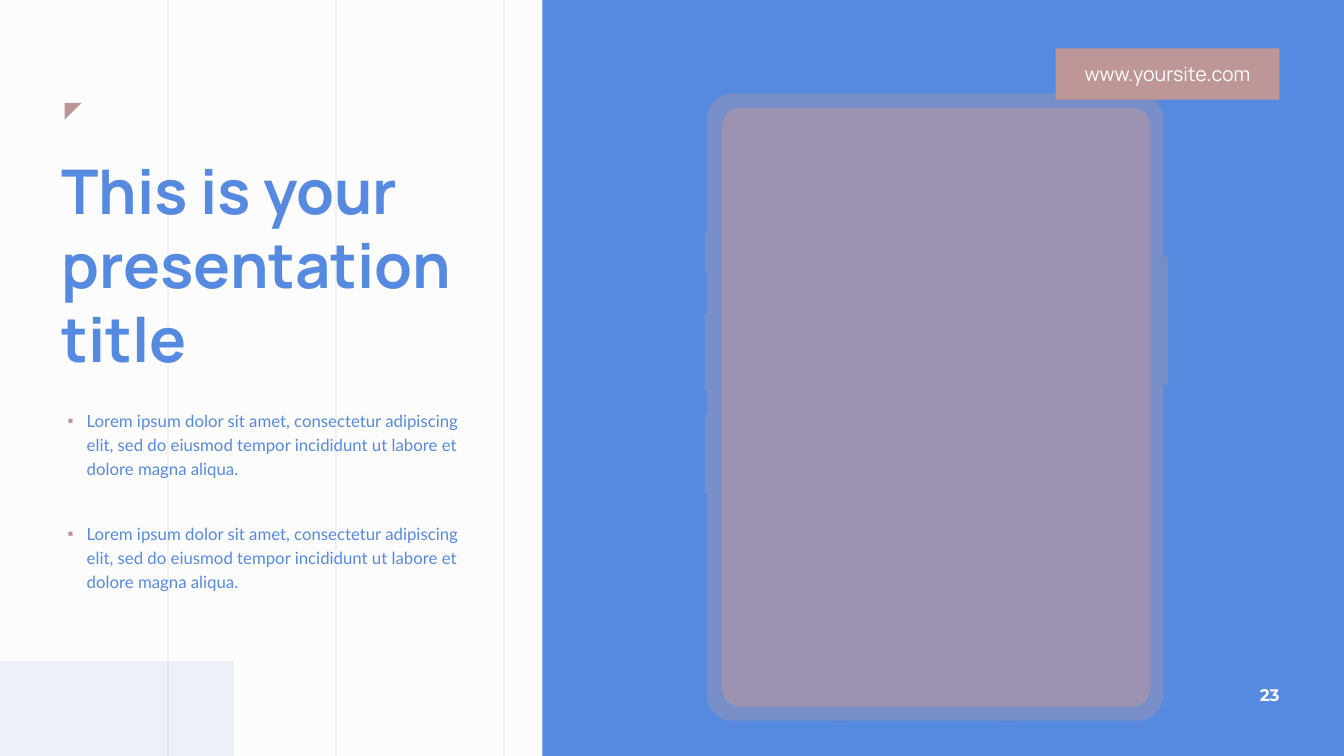
from lxml import etree
from pptx import Presentation
from pptx.dml.color import RGBColor
from pptx.enum.shapes import MSO_CONNECTOR, MSO_SHAPE
from pptx.enum.text import MSO_ANCHOR, MSO_AUTO_SIZE, PP_ALIGN
from pptx.oxml.ns import qn
from pptx.util import Inches, Pt

WHITE = RGBColor(0xFC, 0xFC, 0xFC)
BLUE = RGBColor(0x56, 0x8A, 0xE0)
FRAME_BLUE = RGBColor(0x78, 0x8E, 0xC8)
MAUVE = RGBColor(0x9A, 0x92, 0xB0)
ROSE = RGBColor(0xBD, 0x96, 0x98)

RECTANGLE = MSO_SHAPE.RECTANGLE
ROUNDED = MSO_SHAPE.ROUNDED_RECTANGLE
TRIANGLE = MSO_SHAPE.RIGHT_TRIANGLE
STRAIGHT = MSO_CONNECTOR.STRAIGHT
TOP, MIDDLE = MSO_ANCHOR.TOP, MSO_ANCHOR.MIDDLE
LEFT, CENTER, RIGHT = PP_ALIGN.LEFT, PP_ALIGN.CENTER, PP_ALIGN.RIGHT
NO_AUTOFIT = MSO_AUTO_SIZE.NONE

WIDTH, HEIGHT = 13.33, 7.5
LOREM = ("Lorem ipsum dolor sit amet, consectetur adipiscing elit, sed do "
         "eiusmod tempor incididunt ut labore et dolore magna aliqua.")


class SlideBuilder:
    def __init__(self, page):
        self.page = page
        self.shapes = page.shapes
        page.background.fill.solid()
        page.background.fill.fore_color.rgb = WHITE

    def set_opacity(self, properties, percent):
        """Make the solid colour inside an XML element partly transparent."""
        color = properties.find(".//" + qn("a:srgbClr"))
        etree.SubElement(color, qn("a:alpha"), val=str(percent * 1000))

    def shape(self, kind, left, top, width, height, color, corner=None, opacity=100):
        shape = self.shapes.add_shape(
            kind, Inches(left), Inches(top), Inches(width), Inches(height))
        shape.shadow.inherit = False
        shape.fill.solid()
        shape.fill.fore_color.rgb = color
        shape.line.fill.background()
        if corner is not None:
            shape.adjustments[0] = corner
        if opacity < 100:
            self.set_opacity(shape.element.spPr, opacity)
        return shape

    def guide(self, x):
        connector = self.shapes.add_connector(
            STRAIGHT, Inches(x), Inches(0), Inches(x), Inches(HEIGHT))
        connector.line.color.rgb = MAUVE
        connector.line.width = Pt(1.5)
        self.set_opacity(connector.element.spPr, 10)
        etree.SubElement(connector.element.spPr, qn("a:effectLst"))

    def fill_text(self, box, lines, font, size, color,
                  align=LEFT, anchor=TOP, bold=False):
        frame = box.text_frame
        frame.word_wrap = True
        frame.auto_size = NO_AUTOFIT
        frame.vertical_anchor = anchor
        frame.text = "\n".join(lines)
        for para in frame.paragraphs:
            para.alignment = align
            para.space_before = Pt(0)
            para.font.name = font
            para.font.size = Pt(size)
            para.font.bold = bold
            para.font.color.rgb = color

    def text(self, left, top, width, height, *content, **style):
        box = self.shapes.add_textbox(
            Inches(left), Inches(top), Inches(width), Inches(height))
        self.fill_text(box, *content, **style)

    def place(self, box, left, top, width, height):
        """Position a placeholder and bring it to the front."""
        box.left, box.top = Inches(left), Inches(top)
        box.width, box.height = Inches(width), Inches(height)
        box.element.getparent().append(box.element)

    def title(self, lines):
        box = self.shapes.title
        self.place(box, 0.51, 1.47, 4.45, 2.32)
        self.fill_text(box, lines, "Manrope", 44, BLUE, bold=True)

    def add_bullet(self, para):
        properties = para._p.get_or_add_pPr()
        properties.set("marL", str(Inches(0.19)))
        properties.set("indent", str(-Inches(0.19)))
        bullet_color = etree.Element(qn("a:buClr"))
        etree.SubElement(bullet_color, qn("a:srgbClr"), val=str(ROSE))
        bullet = etree.Element(qn("a:buChar"), char="▪")
        font_defaults = properties.find(qn("a:defRPr"))
        font_defaults.addprevious(bullet_color)
        font_defaults.addprevious(bullet)

    def bullets(self, items):
        box = self.page.placeholders[1]
        self.place(box, 0.67, 4.03, 4.02, 1.85)
        self.fill_text(box, items, "Lato", 12, BLUE)
        frame = box.text_frame
        frame.margin_left = frame.margin_right = 0
        frame.margin_top = frame.margin_bottom = 0
        for number, para in enumerate(frame.paragraphs):
            para.line_spacing = 1.2
            para.space_before = Pt(29 if number else 0)
            self.add_bullet(para)

    def tablet(self):
        for left, top, width, height in [
                (11.54, 2.54, 0.04, 1.28), (6.99, 2.29, 0.05, 0.42),
                (6.99, 3.1, 0.05, 0.78), (6.99, 4.11, 0.05, 0.79)]:
            self.shape(ROUNDED, left, top, width, height, FRAME_BLUE, corner=0.5)
        self.shape(ROUNDED, 7.01, 0.93, 4.53, 6.22, FRAME_BLUE, corner=0.056)
        self.shape(ROUNDED, 7.16, 1.07, 4.25, 5.94, MAUVE, corner=0.042)


def main():
    deck = Presentation()
    deck.slide_width, deck.slide_height = Inches(WIDTH), Inches(HEIGHT)
    builder = SlideBuilder(deck.slides.add_slide(deck.slide_layouts[1]))

    builder.shape(RECTANGLE, 5.38, 0, WIDTH - 5.38, HEIGHT, BLUE)
    for column in range(1, 8):
        builder.guide(column * WIDTH / 8)
    builder.text(12.24, 6.69, 0.55, 0.4, ["23"], "Montserrat", 12, WHITE,
                 align=RIGHT, anchor=MIDDLE, bold=True)
    builder.shape(RECTANGLE, 0, 6.56, 2.32, HEIGHT - 6.56, BLUE, opacity=10)
    corner_mark = builder.shape(TRIANGLE, 0.64, 1.02, 0.17, 0.17, ROSE)
    corner_mark.rotation = 90

    builder.tablet()
    site_label = builder.shape(RECTANGLE, 10.47, 0.48, 2.22, 0.51, ROSE)
    builder.fill_text(site_label, ["www.yoursite.com"], "Manrope", 14, WHITE,
                      align=CENTER, anchor=MIDDLE)
    builder.bullets([LOREM, LOREM])
    builder.title(["This is your presentation", "title"])
    deck.save("out.pptx")


if __name__ == "__main__":
    main()
